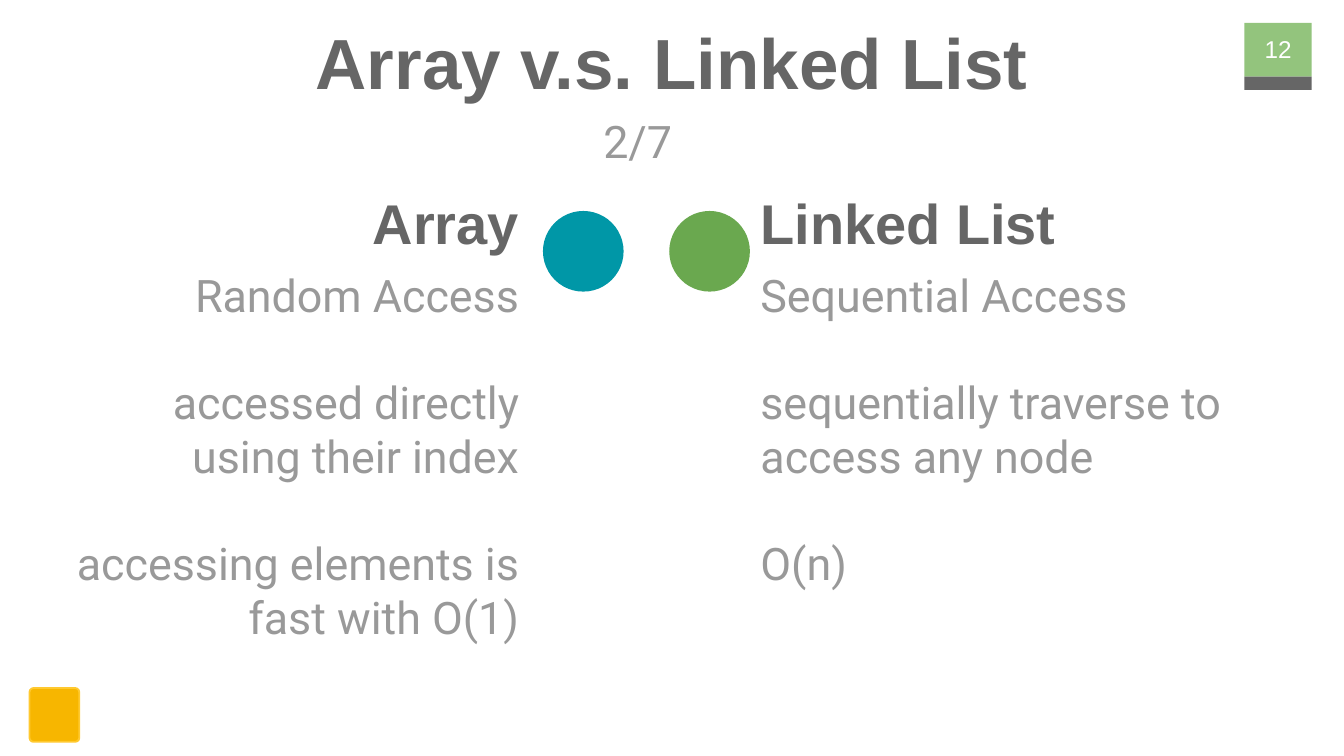
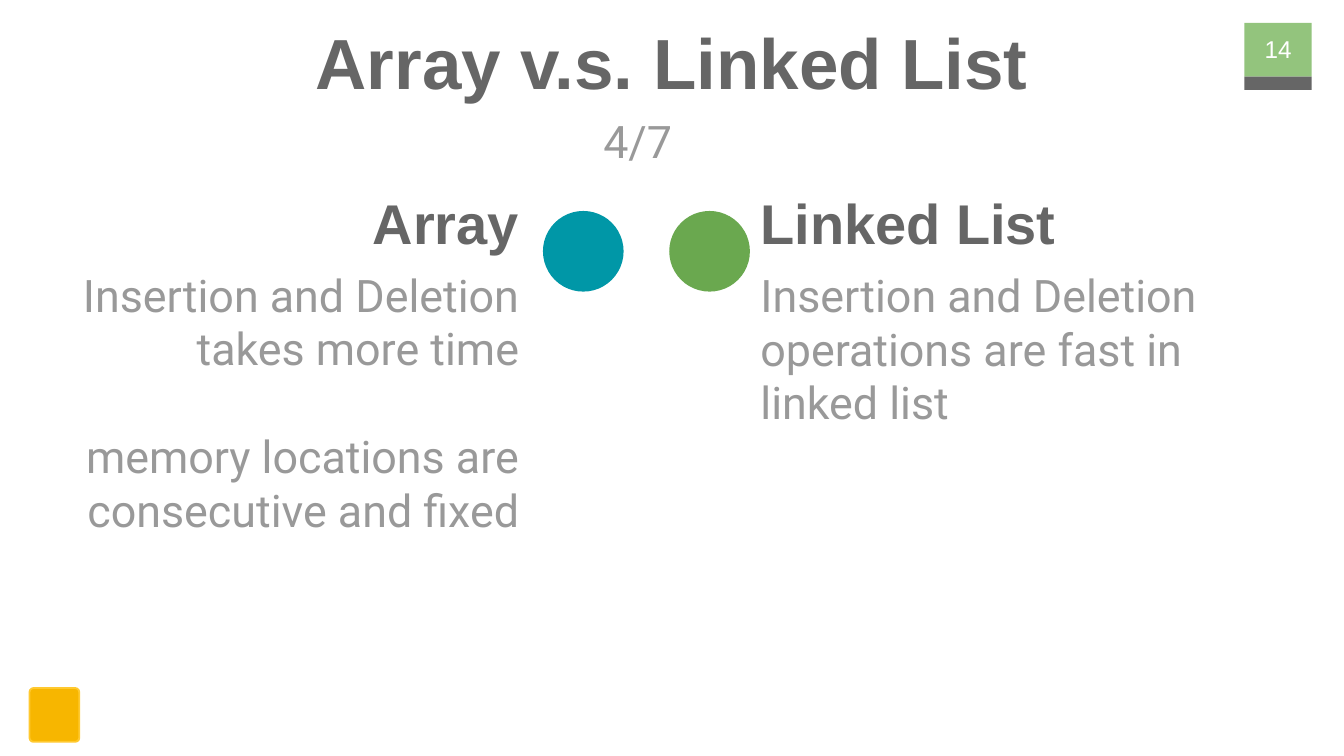
import pptx
import pptx.util
import pptx.dml.color
import pptx.enum.shapes
import pptx.enum.text

# Content
TITLE = "Array v.s. Linked List"
HEADS = ("Array", "Linked List")
SLIDES = [
    {"page": "12", "step": "2/7", "bodies": (
        ["Random Access", "accessed directly using their index",
         "accessing elements is fast with O(1)"],
        ["Sequential Access", "sequentially traverse to access any node",
         "O(n)"])},
    {"page": "14", "step": "4/7", "bodies": (
        ["Insertion and Deletion takes more time",
         "memory locations are consecutive and fixed"],
        ["Insertion and Deletion operations are fast in linked list"])},
]

# Theme, with the slide size in points (16:9)
WIDE, HIGH = 720, 405
DARK, GRAY, WHITE = "666666", "999999", "FFFFFF"
LIME, GOLD, RIM = "93C47D", "F7B600", "FFC92F"
BLANK_LINE = 28.75

ALIGN = pptx.enum.text.PP_ALIGN
SHAPE = pptx.enum.shapes.MSO_SHAPE
ANCHOR = pptx.enum.text.MSO_ANCHOR

# Columns: align, heading left and width, body left, width and height, dot
COLS = [
    (ALIGN.RIGHT, 2.52, 1.44, 0.34, 3.62, 2.23, 4.04, "0097A7"),
    (ALIGN.LEFT, 5.56, 2.63, 5.56, 3.93, 2.72, 4.98, "6AA84F"),
]
HEAD_TOP, DOT_TOP, BODY_TOP = 1.47, 1.57, 1.89
DOT = 0.6


def color(code):
    return pptx.dml.color.RGBColor.from_string(code)


def place(*box):
    return [pptx.util.Inches(n) for n in box]


def draw(slide, kind, box, fill, line=None):
    shape = slide.shapes.add_shape(kind, *place(*box))
    shape.shadow.inherit = False
    shape.fill.solid()
    shape.fill.fore_color.rgb = color(fill)
    if line:
        shape.line.color.rgb = color(line)
        shape.line.width = pptx.util.Pt(1)
    else:
        shape.line.fill.background()
    return shape


def write(slide, box, lines, size, tint, font="Arial", bold=False,
          align=ALIGN.CENTER, anchor=ANCHOR.TOP):
    frame = slide.shapes.add_textbox(*place(*box)).text_frame
    frame.word_wrap = True
    frame.vertical_anchor = anchor
    (frame.margin_left, frame.margin_top,
     frame.margin_right, frame.margin_bottom) = place(0.1, 0.1, 0.1, 0.1)
    for i, line in enumerate(lines):
        para = frame.paragraphs[0] if i == 0 else frame.add_paragraph()
        para.text = line
        para.alignment = align
        if i:
            para.space_before = pptx.util.Pt(BLANK_LINE)
        para.font.name = font
        para.font.size = pptx.util.Pt(size)
        para.font.bold = bold
        para.font.color.rgb = color(tint)


def frame_page(slide, page, step):
    # Page tag, corner badge, title and step
    draw(slide, SHAPE.RECTANGLE, (9.26, 0.17, 0.5, 0.4), LIME)
    draw(slide, SHAPE.RECTANGLE, (9.26, 0.57, 0.5, 0.1), DARK)
    badge = draw(slide, SHAPE.ROUNDED_RECTANGLE,
                 (0.22, 5.12, 0.37, 0.4), GOLD, RIM)
    badge.adjustments[0] = 0.08
    write(slide, (0.34, 0.04, 9.32, 0.63), [TITLE], 38, DARK, bold=True)
    write(slide, (9.21, 0.15, 0.6, 0.43), [page], 13, WHITE,
          anchor=ANCHOR.MIDDLE)
    write(slide, (4.09, 0.75, 1.31, 0.63), [step], 24, GRAY, "Roboto")


def main():
    deck = pptx.Presentation()
    deck.slide_width = pptx.util.Pt(WIDE)
    deck.slide_height = pptx.util.Pt(HIGH)
    for item in SLIDES:
        slide = deck.slides.add_slide(deck.slide_layouts[6])
        frame_page(slide, item["page"], item["step"])
        # Compared columns
        for head, body, col in zip(HEADS, item["bodies"], COLS):
            align, head_x, head_w, body_x, body_w, body_h, dot_x, tint = col
            write(slide, (body_x, BODY_TOP, body_w, body_h), body, 24, GRAY,
                  "Roboto", align=align)
            write(slide, (head_x, HEAD_TOP, head_w, 0.37), [head], 30, DARK,
                  bold=True, align=align, anchor=ANCHOR.MIDDLE)
            draw(slide, SHAPE.OVAL, (dot_x, DOT_TOP, DOT, DOT), tint)
    deck.save("out.pptx")


if __name__ == "__main__":
    main()
